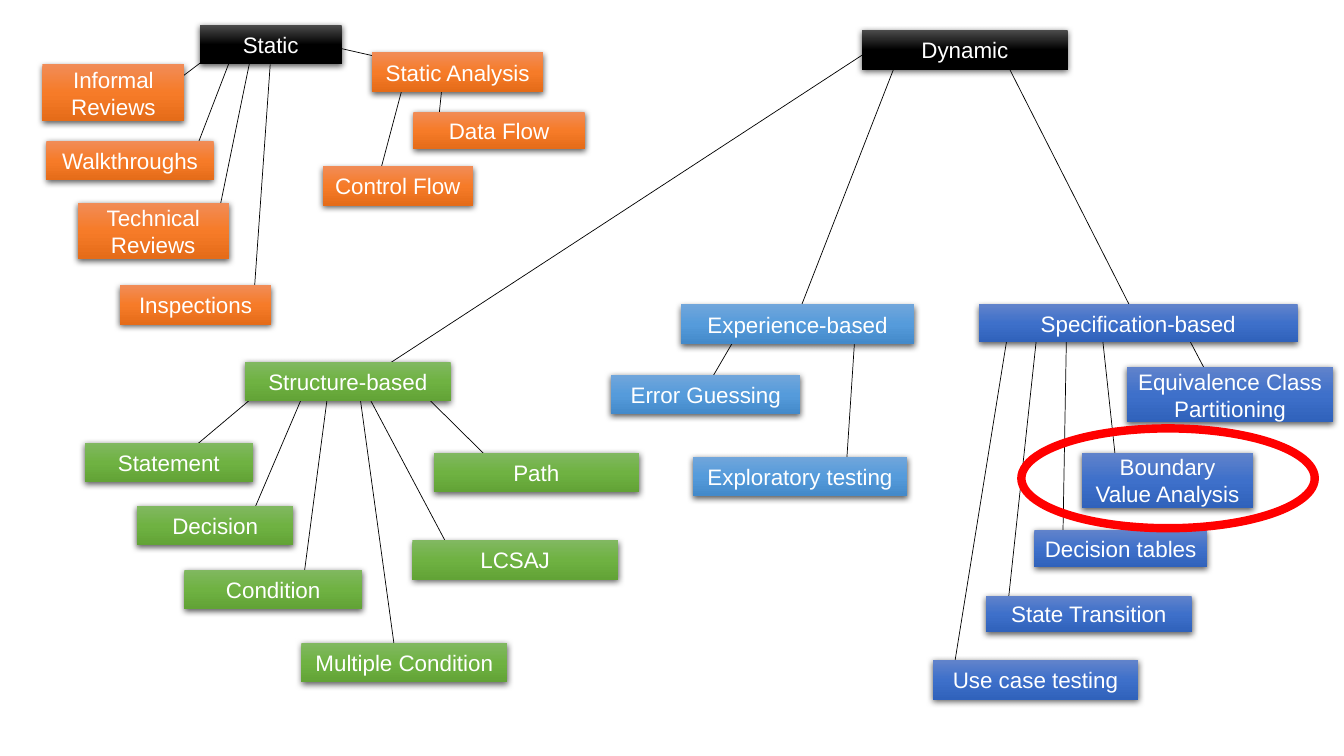
from copy import deepcopy
from dataclasses import dataclass

from lxml.etree import SubElement
from pptx import Presentation
from pptx.dml.color import RGBColor
from pptx.enum.shapes import MSO_CONNECTOR, MSO_SHAPE
from pptx.enum.text import MSO_ANCHOR, PP_ALIGN
from pptx.oxml.ns import qn
from pptx.util import Inches, Pt

BLACK = ("4B4B4B", "000000", "000000")
ORANGE = ("F18C57", "F67B28", "E56C19")
GREEN = ("81B861", "6FB242", "62A336")
SKY = ("71A6DB", "559BDB", "448ACA")
BLUE = ("6183CB", "3E70CA", "3062BB")


@dataclass
class Branch:
    """One tree branch: its corner, colours, head, leaves and links from the corner."""
    left: float
    top: float
    head_colors: tuple
    leaf_colors: tuple
    head: tuple
    leaves: list
    links: list


BRANCHES = [
    Branch(0, 0, BLACK, BLACK, ("Dynamic", 8.55, 0.3, 2.04, 0.39), [], [
        (8.73, 0.43, 3.81, 3.64),
        (8.9, 0.59, 7.84, 3.31),
        (9.99, 0.64, 11.29, 3.2),
    ]),
    Branch(0, 0, BLACK, ORANGE, ("Static", 1.98, 0.25, 1.41, 0.39), [
        ("Informal\nReviews", 0.42, 0.64, 1.41, 0.56),
        ("Walkthroughs", 0.46, 1.4, 1.66, 0.39),
        ("Technical Reviews", 0.77, 2.01, 1.5, 0.56),
        ("Inspections", 1.19, 2.83, 1.5, 0.39),
        ("Static Analysis", 3.69, 0.52, 1.7, 0.39),
        ("Data Flow", 4.1, 1.11, 1.7, 0.37),
        ("Control Flow", 3.2, 1.65, 1.49, 0.39),
    ], [
        (3.2, 0.44, 4.3, 0.69),
        (4.39, 0.8, 4.34, 1.29),
        (4.01, 0.8, 3.75, 1.78),
        (2.23, 0.44, 1.57, 0.94),
        (2.3, 0.55, 1.9, 1.59),
        (2.49, 0.55, 2.17, 2.11),
        (2.68, 0.64, 2.52, 2.92),
    ]),
    Branch(0, 3, GREEN, GREEN, ("Structure-based", 2.43, 0.59, 2.04, 0.39), [
        ("Statement", 0.84, 1.39, 1.67, 0.39),
        ("Decision", 1.36, 2.02, 1.55, 0.39),
        ("Condition", 1.83, 2.65, 1.76, 0.39),
        ("Multiple Condition", 2.99, 3.38, 2.04, 0.39),
        ("Path", 4.3, 1.49, 2.04, 0.39),
        ("LCSAJ", 4.09, 2.36, 2.04, 0.39),
    ], [
        (2.63, 0.84, 1.81, 1.53),
        (3.04, 0.84, 2.48, 2.15),
        (3.26, 0.84, 3.02, 2.67),
        (3.56, 0.86, 3.93, 3.55),
        (3.59, 0.81, 4.46, 2.45),
        (4.03, 0.74, 4.99, 1.69),
    ]),
    Branch(6, 3, SKY, SKY, ("Experience-based", 0.75, 0.02, 2.32, 0.39), [
        ("Error Guessing", 0.06, 0.72, 1.88, 0.39),
        ("Exploratory testing", 0.87, 1.53, 2.13, 0.39),
    ], [
        (1.3, 0.34, 0.88, 1.06),
        (2.49, 0.17, 2.39, 1.69),
    ]),
    Branch(9, 3, BLUE, BLUE, ("Specification-based", 0.71, 0.02, 3.16, 0.37), [
        ("Equivalence Class Partitioning", 2.18, 0.64, 2.04, 0.55),
        ("Boundary Value Analysis", 1.73, 1.49, 1.7, 0.55),
        ("Decision tables", 1.26, 2.26, 1.71, 0.37),
        ("State Transition", 0.78, 2.91, 2.04, 0.36),
        ("Use case testing", 0.25, 3.55, 2.04, 0.39),
    ], [
        (1.01, 0.22, 0.47, 3.57),
        (1.3, 0.17, 0.98, 3.15),
        (1.58, 0.17, 1.54, 2.45),
        (1.93, 0.31, 2.08, 1.7),
        (2.7, 0.19, 3.11, 0.97),
    ]),
]


def color(value):
    """Turn a hex string into a colour."""
    return RGBColor.from_string(value)


def add_link(page, start_x, start_y, end_x, end_y):
    """Draw a thin black line between two points."""
    link = page.shapes.add_connector(
        MSO_CONNECTOR.STRAIGHT, Inches(start_x), Inches(start_y),
        Inches(end_x), Inches(end_y))
    link.line.color.rgb = color("000000")
    link.line.width = Pt(0.5)
    SubElement(link._element.spPr, qn("a:effectLst"))


def fill_gradient(box, colors):
    """Fill a box from top to bottom with three evenly spaced colours."""
    box.fill.gradient()
    box.fill.gradient_angle = 270
    stop_list = box._element.spPr.find(".//" + qn("a:gsLst"))
    stop_list.insert(1, deepcopy(stop_list[0]))
    for index, stop in enumerate(box.fill.gradient_stops):
        stop.position = index / 2
        stop.color.rgb = color(colors[index])


def add_drop_shadow(box):
    """Give a box a soft shadow straight below it."""
    box.shadow.inherit = False
    effects = box._element.spPr.find(qn("a:effectLst"))
    shadow = SubElement(effects, qn("a:outerShdw"), blurRad=str(Pt(4.5)),
                        dist=str(Pt(1.5)), dir="5400000", algn="ctr", rotWithShape="0")
    tint = SubElement(shadow, qn("a:srgbClr"), val="000000")
    SubElement(tint, qn("a:alpha"), val="63000")


def add_node(page, colors, text, left, top, width, height):
    """Draw a shaded box with a centred white label."""
    box = page.shapes.add_shape(
        MSO_SHAPE.RECTANGLE, Inches(left), Inches(top), Inches(width), Inches(height))
    fill_gradient(box, colors)
    box.line.fill.background()
    add_drop_shadow(box)
    frame = box.text_frame
    frame.word_wrap = True
    frame.vertical_anchor = MSO_ANCHOR.MIDDLE
    for index, label in enumerate(text.split("\n")):
        para = frame.add_paragraph() if index else frame.paragraphs[0]
        para.alignment = PP_ALIGN.CENTER
        span = para.add_run()
        span.text = label
        span.font.name = "Arial"
        span.font.size = Pt(16)
        span.font.color.rgb = color("FFFFFF")


def add_branch(page, branch):
    """Draw the links of a branch and then its boxes on top."""
    left, top = branch.left, branch.top
    for start_x, start_y, end_x, end_y in branch.links:
        add_link(page, left + start_x, top + start_y, left + end_x, top + end_y)
    nodes = [(branch.leaf_colors, leaf) for leaf in branch.leaves]
    nodes.append((branch.head_colors, branch.head))
    for colors, (text, x, y, width, height) in nodes:
        add_node(page, colors, text, left + x, top + y, width, height)


def add_highlight(page, left, top, width, height):
    """Ring an area with a thick red ellipse."""
    ring = page.shapes.add_shape(
        MSO_SHAPE.OVAL, Inches(left), Inches(top), Inches(width), Inches(height))
    ring.shadow.inherit = False
    ring.fill.background()
    ring.line.color.rgb = color("FF0000")
    ring.line.width = Pt(6)


def main():
    """Build the tree of test techniques and save it."""
    deck = Presentation()
    deck.slide_width, deck.slide_height = Inches(13.33), Inches(7.5)
    page = deck.slides.add_slide(deck.slide_layouts[6])
    for branch in BRANCHES:
        add_branch(page, branch)
    add_highlight(page, 10.13, 4.25, 2.91, 0.99)
    deck.save("out.pptx")


if __name__ == "__main__":
    main()
